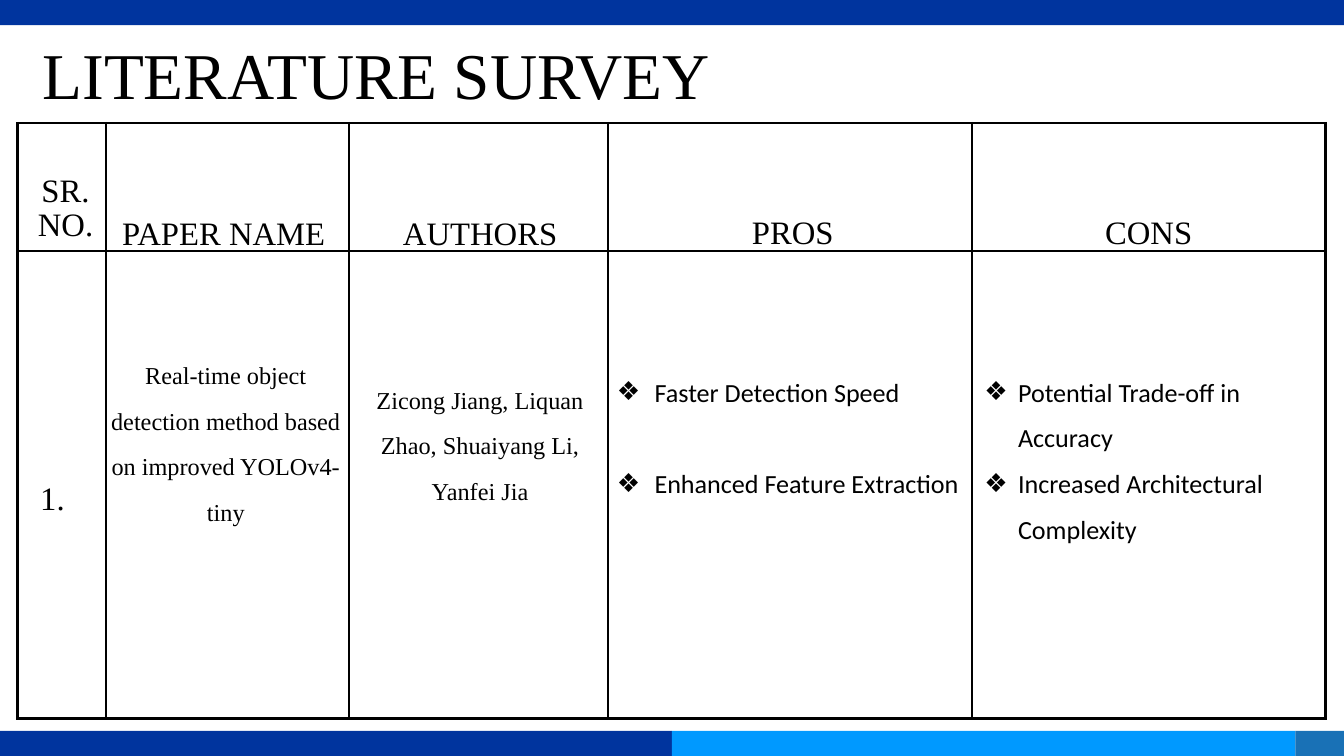
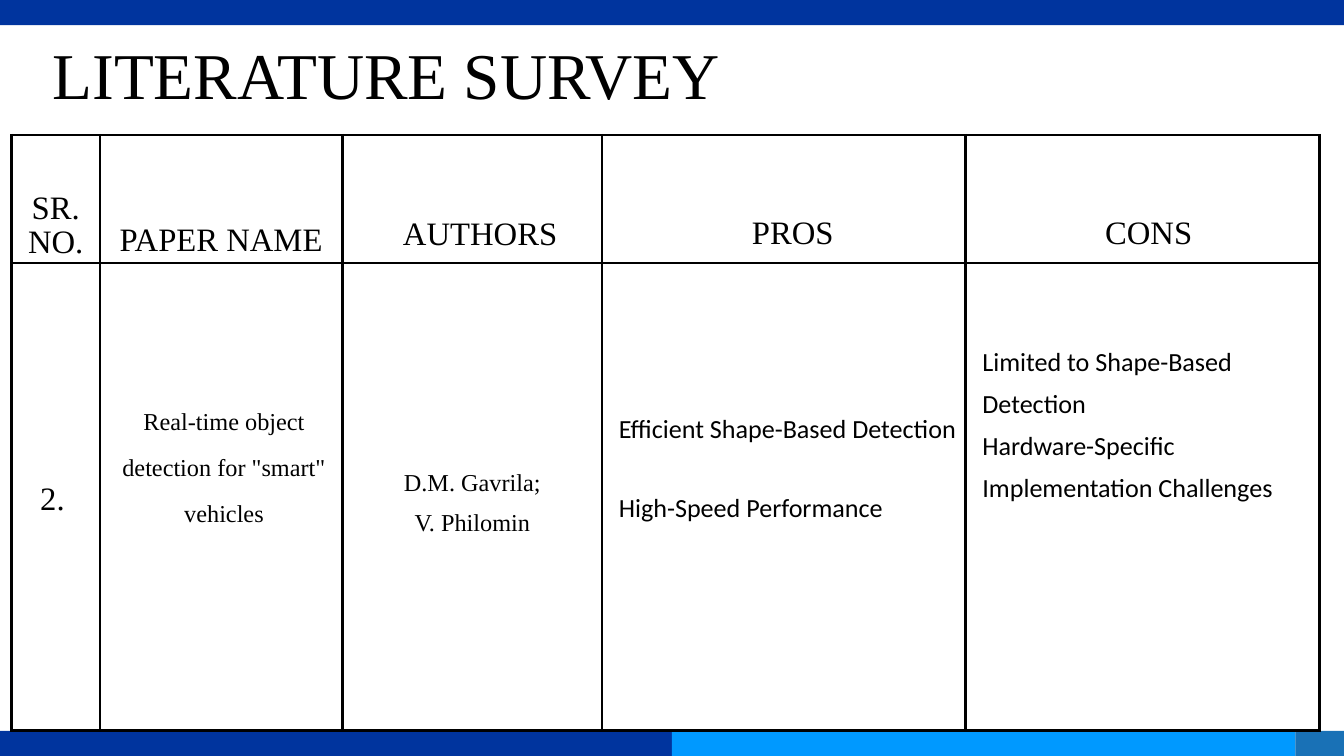
"""Build two literature survey slides, each reviewing one paper."""
import pptx
import pptx.dml.color
import pptx.enum.shapes
import pptx.enum.text
import pptx.oxml.ns
import pptx.util
from lxml import etree

Pt = pptx.util.Pt
ALIGN = pptx.enum.text.PP_ALIGN
ANCHOR = pptx.enum.text.MSO_ANCHOR
COLORS = {"ink": "000000", "navy": "00349E", "azure": "0099FF", "steel": "1971B6"}
SERIF, SANS = "Times New Roman", "Calibri"
BANDS = [
    (0, 783, 720, "navy"),
    (720, 783, 668, "azure"),
    (1388, 783, 52, "steel"),
    (0, 0, 1440, "navy"),
]
BAND_HEIGHT = 27
COLUMN_WIDTHS = [95, 260, 278, 389.5, 379]
ROW_HEIGHTS = [137, 501]
SHARED_HEADINGS = [
    ("AUTHORS", (360, 200, 309, 61)),
    ("PROS", (687, 199.5, 325, 61)),
    ("CONS", (1070.5, 199.5, 320.5, 61)),
]
NUMBER_BOX = (0, 484, 112.5, 61)


def rgb(name):
    """Return the palette colour called name."""
    return pptx.dml.color.RGBColor.from_string(COLORS[name])


def place(shape, box):
    """Move and size a shape to a (left, top, width, height) box."""
    shape.left, shape.top, shape.width, shape.height = map(Pt, box)


def write(frame, lines, size, spacing, font=SERIF, align=ALIGN.CENTER, gap=0):
    """Fill a text frame with one formatted paragraph per line."""
    frame.text = "\n".join(lines)
    for paragraph in frame.paragraphs:
        paragraph.alignment = align
        paragraph.line_spacing = spacing
        paragraph.space_before = Pt(0)
        paragraph.space_after = Pt(gap if paragraph is not frame.paragraphs[-1] else 0)
        for run in paragraph.runs:
            run.font.name = font
            run.font.size = Pt(size)
            run.font.color.rgb = rgb("ink")


def open_frame(shape, box):
    """Place a text shape and return its frame without margins or autofit."""
    place(shape, box)
    frame = shape.text_frame
    frame.margin_left = frame.margin_top = frame.margin_right = frame.margin_bottom = 0
    frame.word_wrap = True
    frame.auto_size = pptx.enum.text.MSO_AUTO_SIZE.NONE
    frame.vertical_anchor = ANCHOR.TOP
    return frame


def add_label(slide, text, box, size=35, spacing=70):
    """Add a centred serif label over the table."""
    label = slide.shapes.add_textbox(0, 0, 0, 0)
    write(open_frame(label, box), [text], size, Pt(spacing))


def fill_title(slide, box, align):
    """Write the shared title into the title placeholder."""
    frame = open_frame(slide.shapes.title, box)
    write(frame, ["LITERATURE SURVEY"], 70, Pt(98), align=align)


def fill_list(placeholder, points, box, spacing, indent=0, gap=0):
    """Write points into a placeholder, with diamond bullets if indented."""
    frame = open_frame(placeholder, box)
    write(frame, points, 28, Pt(spacing), SANS, ALIGN.LEFT, gap)
    for paragraph in frame.paragraphs:
        properties = paragraph._p.get_or_add_pPr()
        properties.set("marL", str(Pt(indent)))
        properties.set("indent", str(-Pt(indent)))
        tag = "a:buChar" if indent else "a:buNone"
        bullet = etree.SubElement(properties, pptx.oxml.ns.qn(tag))
        if indent:
            bullet.set("char", "❖")


def add_bands(slide):
    """Draw the top band and the three-part footer."""
    for left, top, width, color in BANDS:
        band = slide.shapes.add_shape(pptx.enum.shapes.MSO_SHAPE.RECTANGLE, 0, 0, 0, 0)
        place(band, (left, top, width, BAND_HEIGHT))
        band.shadow.inherit = False
        band.fill.solid()
        band.fill.fore_color.rgb = rgb(color)
        band.line.fill.background()


def outline(cell):
    """Give a cell four solid borders and no fill."""
    properties = cell._tc.get_or_add_tcPr()
    for side in ("lnL", "lnR", "lnT", "lnB"):
        border = etree.SubElement(properties, pptx.oxml.ns.qn(f"a:{side}"), w=str(Pt(3)))
        solid = etree.SubElement(border, pptx.oxml.ns.qn("a:solidFill"))
        etree.SubElement(solid, pptx.oxml.ns.qn("a:srgbClr"), val=COLORS["ink"])
    cell.fill.background()


def add_survey_table(slide, left, top):
    """Add the bordered survey grid and return its table."""
    grid = slide.shapes.add_table(
        len(ROW_HEIGHTS), len(COLUMN_WIDTHS), Pt(left), Pt(top),
        Pt(sum(COLUMN_WIDTHS)), Pt(sum(ROW_HEIGHTS)))
    table = grid.table
    table.first_row = table.horz_banding = False
    for column, width in zip(table.columns, COLUMN_WIDTHS):
        column.width = Pt(width)
    for row, height in zip(table.rows, ROW_HEIGHTS):
        row.height = Pt(height)
    for cell in table.iter_cells():
        outline(cell)
    return table


def add_survey_slide(deck, number, corner, number_heading, paper_heading, paper, paper_box):
    """Add a slide with bands, grid, headings, number and paper name."""
    slide = deck.slides.add_slide(deck.slide_layouts.get_by_name("Two Content"))
    add_bands(slide)
    table = add_survey_table(slide, *corner)
    add_label(slide, "SR. NO.", number_heading, spacing=36.2)
    for heading, box in [("PAPER NAME", paper_heading), *SHARED_HEADINGS]:
        add_label(slide, heading, box)
    add_label(slide, number, NUMBER_BOX)
    add_label(slide, paper, paper_box, 26, 49)
    return slide, table


def add_yolo_slide(deck):
    """Add the survey of the improved YOLOv4-tiny paper."""
    slide, _ = add_survey_slide(
        deck, "1.", (18.7, 131.8), (21.6, 188, 97.2, 73), (100.8, 200, 278, 61),
        "Real-time object detection method based on improved YOLOv4-tiny",
        (116, 368, 252, 191.5))
    fill_title(slide, (32.4, 23, 741.6, 90.7), ALIGN.CENTER)
    add_label(slide, "Zicong Jiang, Liquan Zhao, Shuaiyang Li, Yanfei Jia",
              (382.3, 394.6, 264.2, 142.6), 26, 49)
    fill_list(slide.placeholders[1],
              ["Faster Detection Speed", "Enhanced Feature Extraction"],
              (661, 387.4, 379.4, 143.3), 49, indent=40.3, gap=49)
    fill_list(slide.placeholders[2],
              ["Potential Trade-off in Accuracy", "Increased Architectural Complexity"],
              (1054.8, 387.4, 366.5, 193), 49, indent=36)


def add_smart_vehicles_slide(deck):
    """Add the survey of the smart vehicles paper."""
    slide, table = add_survey_slide(
        deck, "2.", (12.2, 144.7), (0, 206, 119.5, 73), (106.6, 206, 260.6, 61),
        'Real-time object detection for "smart" vehicles',
        (108, 417.6, 264.2, 142.6))
    fill_title(slide, (56.2, 23, 1162, 90.7), ALIGN.LEFT)
    authors = table.cell(1, 2)
    authors.margin_left = authors.margin_right = Pt(15)
    authors.margin_top = authors.margin_bottom = Pt(15)
    authors.vertical_anchor = ANCHOR.MIDDLE
    write(authors.text_frame, ["D.M. Gavrila;", "V. Philomin"], 26, 1.5)
    fill_list(slide.placeholders[1],
              ["Efficient Shape-Based Detection", "High-Speed Performance"],
              (663, 432.7, 367.2, 124), 42.5, gap=42.5)
    fill_list(slide.placeholders[2],
              ["Limited to Shape-Based Detection",
               "Hardware-Specific Implementation Challenges"],
              (1052.6, 358.6, 356.4, 178), 45.1)


def main():
    """Build and save the deck."""
    deck = pptx.Presentation()
    deck.slide_width, deck.slide_height = Pt(1440), Pt(810)
    add_yolo_slide(deck)
    add_smart_vehicles_slide(deck)
    deck.save("out.pptx")


if __name__ == "__main__":
    main()
